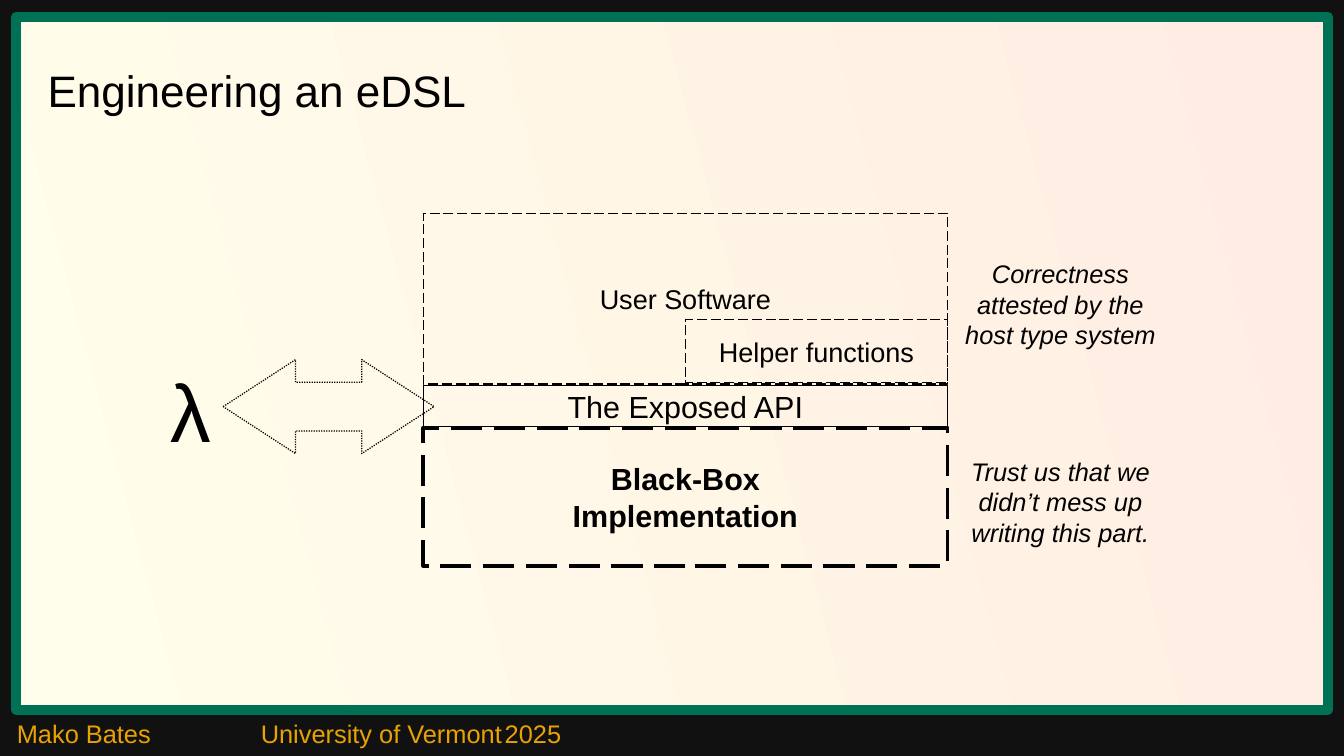
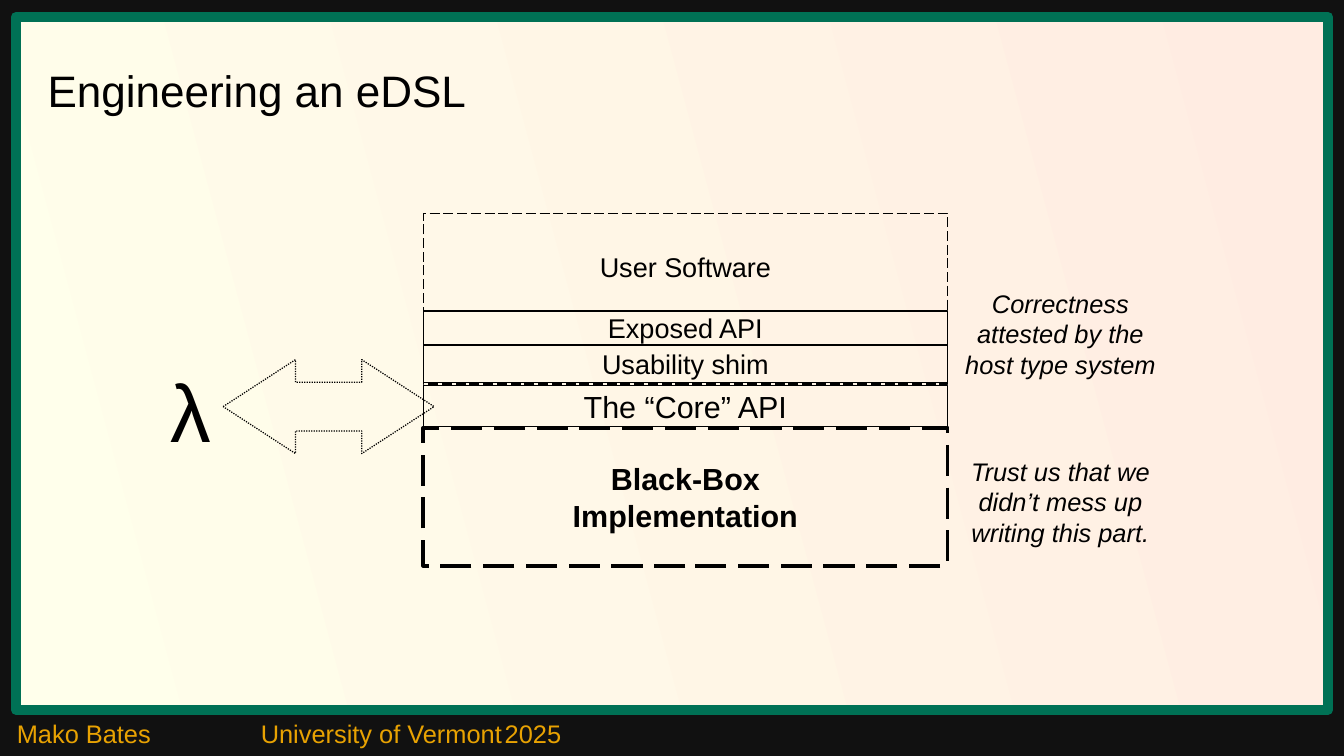
import pptx
import pptx.util
import pptx.dml.color
import pptx.enum.dml
import pptx.enum.shapes
import pptx.enum.text
import lxml.etree

Inches, Pt = pptx.util.Inches, pptx.util.Pt
Shape = pptx.enum.shapes.MSO_SHAPE
Dash = pptx.enum.dml.MSO_LINE
Align = pptx.enum.text.PP_ALIGN
Anchor = pptx.enum.text.MSO_ANCHOR
A = "http://schemas.openxmlformats.org/drawingml/2006/main"

WIDE, HIGH = 11.02, 6.2
FONT = "Arial"
HEX = {"back": "111111", "cream": "FFFFEB", "blush": "FFECE2",
       "frame": "007155", "gold": "E8A202", "ink": "000000"}

# The stack of layers and the column of notes beside it
LEFT, SPAN = 3.47, 4.3
TOP, CORE, BASE, FOOT = 1.75, 3.16, 3.51, 4.64
SEAM = 3.15
NOTE = 7.8


def rgb(name):
    return pptx.dml.color.RGBColor.from_string(HEX[name])


def box(at):
    return [Inches(v) for v in at]


def write(shape, text, size, color="ink", align=Align.LEFT, anchor=Anchor.TOP,
          inset=(0.1, 0.05), wrap=True, bold=False, italic=False):
    frame = shape.text_frame
    frame.text = text
    frame.word_wrap = wrap
    frame.vertical_anchor = anchor
    frame.margin_left = frame.margin_right = Inches(inset[0])
    frame.margin_top = frame.margin_bottom = Inches(inset[1])
    for para in frame.paragraphs:
        para.alignment = align
        for run in para.runs:
            font = run.font
            font.name, font.size = FONT, Pt(size)
            font.bold, font.italic = bold, italic
            font.color.rgb = rgb(color)
    return frame


def outline(slide, kind, at, width=0, dash=None, color="ink"):
    """Add an unfilled shape; a width of 0 is a hairline."""
    shape = slide.shapes.add_shape(kind, *box(at))
    shape.shadow.inherit = False
    shape.fill.background()
    shape.line.color.rgb = rgb(color)
    shape.line.width = Pt(width)
    if dash:
        shape.line.dash_style = dash
    return shape


def layer(slide, text, top, end, size=16, left=LEFT, width=0, dash=None,
          bold=False):
    """Add one layer of the stack, from its left edge to the right side."""
    at = (left, top, LEFT + SPAN - left, end - top)
    shape = outline(slide, Shape.RECTANGLE, at, width, dash)
    return write(shape, text, size, align=Align.CENTER, anchor=Anchor.MIDDLE,
                 wrap=False, bold=bold)


def label(slide, text, at, size, **style):
    return write(slide.shapes.add_textbox(*box(at)), text, size, **style)


def note(slide, text, top):
    label(slide, text, (NOTE, top, 1.79, 0.79), 15, align=Align.CENTER,
          italic=True)


def dress(layout, slide):
    """Give the layout its background, frame and footer, drawn via a slide."""
    fill = layout.background.fill
    fill.solid()
    fill.fore_color.rgb = rgb("back")

    panel = outline(slide, Shape.RECTANGLE, (0.13, 0.14, 10.76, 5.68), 6,
                    color="frame")
    panel.fill.gradient()
    panel.fill.gradient_angle = 15
    for stop, name in zip(panel.fill.gradient_stops, ("cream", "blush")):
        stop.position = 0 if name == "cream" else 1
        stop.color.rgb = rgb(name)

    foot = slide.shapes.add_textbox(*box((0.04, 5.84, WIDE - 0.08, 0.36)))
    frame = write(foot, "Mako Bates\tUniversity of Vermont\t2025", 15, "gold")
    props = frame.paragraphs[0].alignment is not None and \
        frame.paragraphs[0]._p.get_or_add_pPr()
    tabs = lxml.etree.SubElement(props, f"{{{A}}}tabLst")
    for stop in (2, 4):
        lxml.etree.SubElement(tabs, f"{{{A}}}tab", pos=str(Inches(stop)),
                              algn="l")

    for place, shape in enumerate((panel, foot)):
        shape.element.nvSpPr.cNvPr.set("id", str(101 + place))
        layout.shapes.element.insert(2 + place, shape.element)


def start(deck, layout, title):
    slide = deck.slides.add_slide(layout)
    head = slide.shapes.title
    head.left, head.top, head.width, head.height = box((0.39, 0.4, 10.22, 0.68))
    write(head, title, 26, anchor=Anchor.MIDDLE, inset=(0, 0))
    head.text_frame.auto_size = pptx.enum.text.MSO_AUTO_SIZE.NONE
    return slide


def stack(slide, api, check):
    """Add the parts of the diagram that both slides have."""
    layer(slide, api, CORE, BASE - 0.01, 18)
    layer(slide, "Black-Box\nImplementation", BASE, FOOT, 18, width=2.3,
          dash=Dash.LONG_DASH, bold=True)
    user = layer(slide, "User Software", TOP, SEAM, dash=Dash.LONG_DASH)
    label(slide, "λ", (1.3, 2.91, 0.53, 0.84), 48)
    arrow = outline(slide, Shape.LEFT_RIGHT_ARROW, (1.83, 2.95, 1.73, 0.77),
                    dash=Dash.ROUND_DOT)
    arrow.adjustments[0], arrow.adjustments[1] = 0.52, 0.77
    note(slide, "Correctness attested by the host type system", check)
    note(slide, "Trust us that we didn’t mess up writing this part.", 3.69)
    return user


def main():
    deck = pptx.Presentation()
    deck.slide_width, deck.slide_height = Inches(WIDE), Inches(HIGH)
    layout = deck.slide_layouts[5]
    title = "Engineering an eDSL"

    slide = start(deck, layout, title)
    dress(layout, slide)
    stack(slide, "The Exposed API", 2.07)
    layer(slide, "Helper functions", 2.62, SEAM - 0.01, left=LEFT + SPAN / 2,
          dash=Dash.LONG_DASH)

    slide = start(deck, layout, title)
    user = stack(slide, "The “Core” API", 2.31)
    user.margin_bottom = Inches(0.57)
    layer(slide, "Usability shim", 2.83, SEAM - 0.01)
    layer(slide, "Exposed API", 2.55, 2.83)

    deck.save("out.pptx")


if __name__ == "__main__":
    main()
